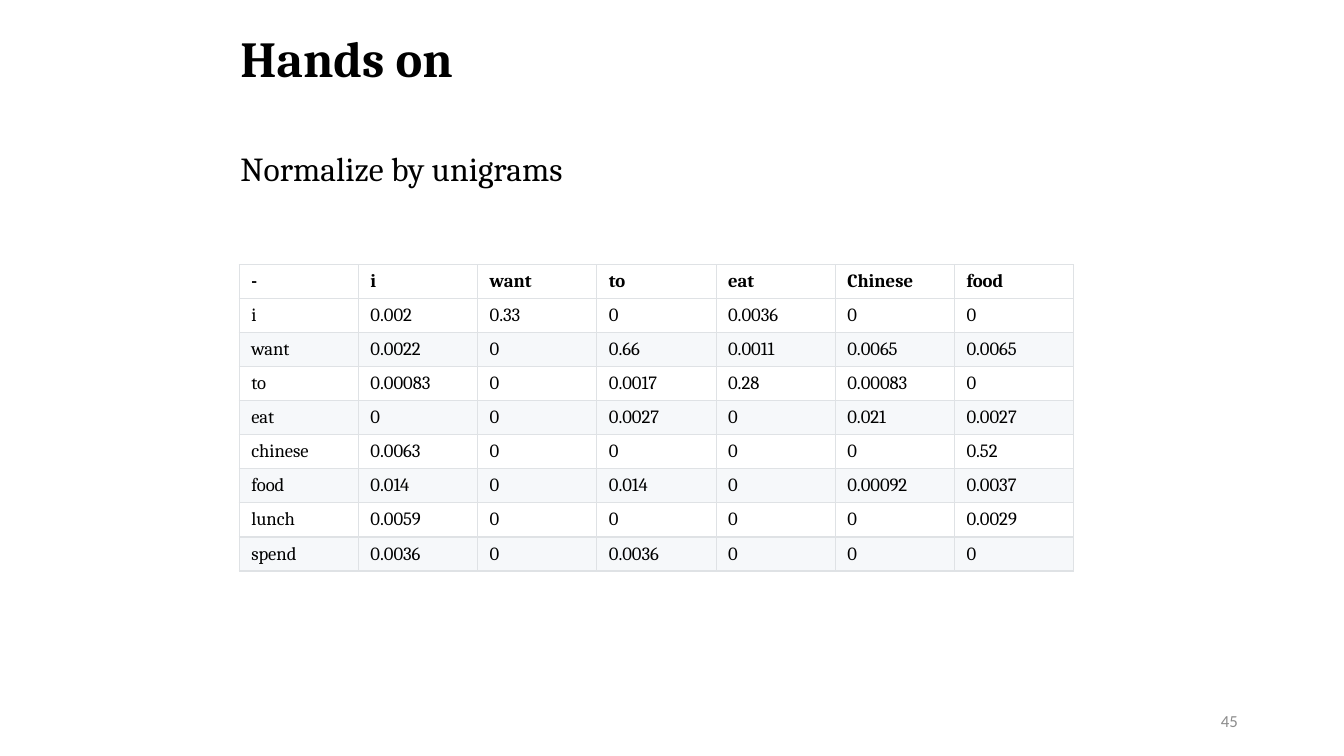
"""Build the slide of bigram probabilities normalized by unigram counts."""
import dataclasses
import typing

import lxml.etree
import pptx
import pptx.dml.color
import pptx.enum.text
import pptx.oxml.ns
import pptx.slide
import pptx.table
import pptx.text.text
import pptx.util

Inches = pptx.util.Inches
RGBColor = pptx.dml.color.RGBColor
Align = pptx.enum.text.PP_ALIGN
Anchor = pptx.enum.text.MSO_ANCHOR
AutoSize = pptx.enum.text.MSO_AUTO_SIZE

SLIDE_WIDTH = 10
SLIDE_HEIGHT = SLIDE_WIDTH * 9 / 16

BLACK = RGBColor(0x00, 0x00, 0x00)
GRAY = RGBColor(0x8C, 0x8C, 0x8C)
WHITE = RGBColor(0xFF, 0xFF, 0xFF)
BAND = RGBColor(0xF6, 0xF8, 0xFA)
BORDER = RGBColor(0xDF, 0xE2, 0xE5)
BORDER_WIDTH = pptx.util.Pt(0.68)

PROBABILITIES = (
    ("-", "i", "want", "to", "eat", "Chinese", "food"),
    ("i", "0.002", "0.33", "0", "0.0036", "0", "0"),
    ("want", "0.0022", "0", "0.66", "0.0011", "0.0065", "0.0065"),
    ("to", "0.00083", "0", "0.0017", "0.28", "0.00083", "0"),
    ("eat", "0", "0", "0.0027", "0", "0.021", "0.0027"),
    ("chinese", "0.0063", "0", "0", "0", "0", "0.52"),
    ("food", "0.014", "0", "0.014", "0", "0.00092", "0.0037"),
    ("lunch", "0.0059", "0", "0", "0", "0", "0.0029"),
    ("spend", "0.0036", "0", "0.0036", "0", "0", "0"),
)


@dataclasses.dataclass(frozen=True)
class Style:
    """Character formatting of a run."""

    size: float
    font: str = "Cambria"
    color: RGBColor = BLACK
    bold: bool = False


@dataclasses.dataclass(frozen=True)
class Label:
    """A free-standing line of text and its place in inches."""

    text: str
    left: float
    top: float
    width: float
    height: float
    style: Style
    align: Align = Align.LEFT
    anchor: Anchor = Anchor.TOP
    line_spacing: typing.Optional[float] = None
    autosize: AutoSize = AutoSize.SHAPE_TO_FIT_TEXT


LABELS = (
    Label("45", 7.06, 5.21, 2.25, 0.3, Style(9, "Calibri", GRAY),
          align=Align.RIGHT, anchor=Anchor.MIDDLE, autosize=AutoSize.NONE),
    Label("Normalize by unigrams", 1.69, 0.9, 6.88, 0.52, Style(18), line_spacing=1.5),
    Label("Hands on", 1.69, 0.15, 4.86, 0.56, Style(27, bold=True)),
)


def add_run(paragraph: pptx.text.text._Paragraph, text: str, style: Style) -> None:
    """Append one formatted run to a paragraph."""
    run = paragraph.add_run()
    run.text = text
    run.font.size = pptx.util.Pt(style.size)
    run.font.name = style.font
    run.font.bold = style.bold
    run.font.color.rgb = style.color


def draw_label(slide: pptx.slide.Slide, label: Label) -> None:
    """Draw one label as a text box."""
    place = map(Inches, (label.left, label.top, label.width, label.height))
    frame = slide.shapes.add_textbox(*place).text_frame
    frame.word_wrap = True
    frame.auto_size = label.autosize
    frame.vertical_anchor = label.anchor
    paragraph = frame.paragraphs[0]
    paragraph.alignment = label.align
    paragraph.line_spacing = label.line_spacing
    add_run(paragraph, label.text, label.style)


def add_borders(cell: pptx.table._Cell) -> None:
    """Outline all four sides of a cell."""
    qn = pptx.oxml.ns.qn
    properties = cell._tc.get_or_add_tcPr()
    for side in ("a:lnL", "a:lnR", "a:lnT", "a:lnB"):
        line = lxml.etree.SubElement(properties, qn(side), w=str(BORDER_WIDTH))
        fill = lxml.etree.SubElement(line, qn("a:solidFill"))
        lxml.etree.SubElement(fill, qn("a:srgbClr"), val=str(BORDER))


def draw_cell(cell: pptx.table._Cell, text: str, style: Style, fill: RGBColor) -> None:
    """Fill, outline and label one table cell."""
    add_borders(cell)
    cell.fill.solid()
    cell.fill.fore_color.rgb = fill
    cell.vertical_anchor = Anchor.MIDDLE
    cell.margin_left = cell.margin_right = Inches(0.09)
    cell.margin_top = cell.margin_bottom = Inches(0.04)
    add_run(cell.text_frame.paragraphs[0], text, style)


def draw_probabilities(slide: pptx.slide.Slide) -> None:
    """Draw the probability table with a bold header and banded rows."""
    table = slide.shapes.add_table(
        len(PROBABILITIES), len(PROBABILITIES[0]),
        Inches(1.78), Inches(1.97), Inches(6.21), Inches(2.28),
    ).table
    for row, texts in enumerate(PROBABILITIES):
        style = Style(10, bold=row == 0)
        fill = BAND if row and row % 2 == 0 else WHITE
        for column, text in enumerate(texts):
            draw_cell(table.cell(row, column), text, style, fill)


def main() -> None:
    """Create and save the presentation."""
    presentation = pptx.Presentation()
    presentation.slide_width = Inches(SLIDE_WIDTH)
    presentation.slide_height = Inches(SLIDE_HEIGHT)
    slide = presentation.slides.add_slide(presentation.slide_layouts[6])
    for label in LABELS:
        draw_label(slide, label)
    draw_probabilities(slide)
    presentation.save("out.pptx")


if __name__ == "__main__":
    main()
